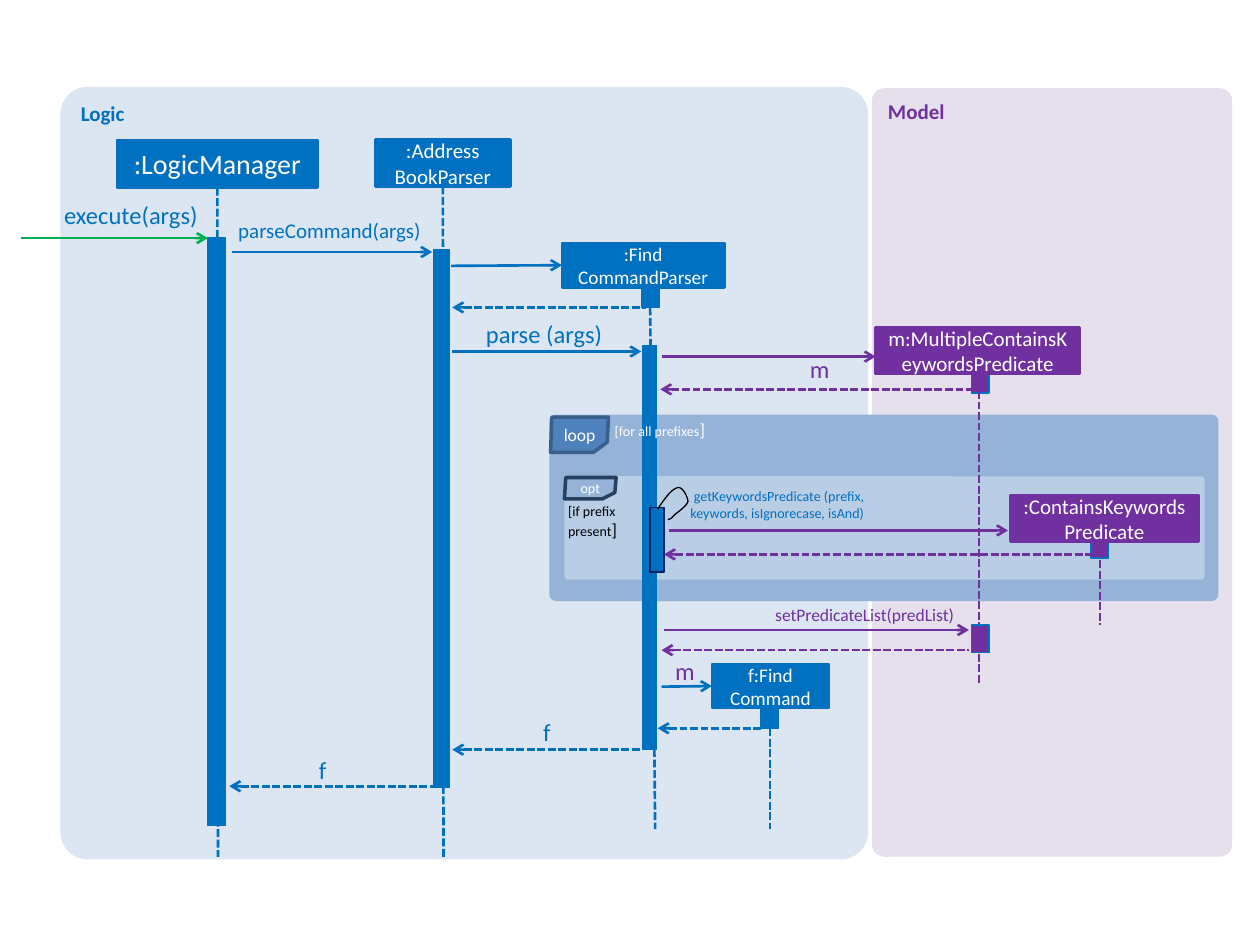
from lxml import etree
from pptx import Presentation
from pptx.dml.color import RGBColor
from pptx.enum import dml, shapes, text
from pptx.oxml.ns import qn
from pptx.util import Inches, Pt

BLUE = RGBColor(0x00, 0x70, 0xC0)
PURPLE = RGBColor(0x70, 0x30, 0xA0)
GREEN = RGBColor(0x00, 0xB0, 0x50)
NAVY = RGBColor(0x00, 0x20, 0x60)
WHITE = RGBColor(0xFF, 0xFF, 0xFF)
BLACK = RGBColor(0x00, 0x00, 0x00)
LOGIC_FILL = RGBColor(0xDC, 0xE6, 0xF2)
MODEL_FILL = RGBColor(0xE6, 0xE0, 0xEC)
LOOP_FILL = RGBColor(0x95, 0xB3, 0xD7)
OPT_FILL = RGBColor(0xB9, 0xCD, 0xE5)
LOOP_TAG = RGBColor(0x4F, 0x81, 0xBD)
LOOP_TAG_EDGE = RGBColor(0x3A, 0x5F, 0x8C)
OPT_TAG_EDGE = RGBColor(0x25, 0x40, 0x61)

LEFT, CENTER, RIGHT = text.PP_ALIGN.LEFT, text.PP_ALIGN.CENTER, text.PP_ALIGN.RIGHT
TOP, MIDDLE = text.MSO_ANCHOR.TOP, text.MSO_ANCHOR.MIDDLE
RECT, ROUNDED = shapes.MSO_SHAPE.RECTANGLE, shapes.MSO_SHAPE.ROUNDED_RECTANGLE
ACTIVATION = (0.14, 0.22)


def place(box, x, y):
    """Return the slide position of a point given relative to a box."""
    return Inches(box[0] + x), Inches(box[1] + y)


def write(tf, words, size=12, color=WHITE, bold=False, align=CENTER,
          anchor=MIDDLE, wrap=True, ending=None):
    """Fill a text frame; an ending is added as a 10 point run."""
    tf.text = words
    tf.word_wrap = wrap
    tf.vertical_anchor = anchor
    if ending:
        tf.paragraphs[-1].add_run().text = ending
    for p in tf.paragraphs:
        p.alignment = align
        for r in p.runs:
            r.font.name = "Calibri"
            r.font.size = Pt(size)
            r.font.bold = bold
            r.font.color.rgb = color
    if ending:
        tf.paragraphs[-1].runs[-1].font.size = Pt(10)


def style(sp, fill=None, edge=None, width=0.75):
    """Set the fill and outline of a shape and drop its shadow."""
    sp.shadow.inherit = False
    if fill is None:
        sp.fill.background()
    else:
        sp.fill.solid()
        sp.fill.fore_color.rgb = fill
    if edge is None:
        sp.line.fill.background()
    else:
        sp.line.color.rgb = edge
        sp.line.width = Pt(width)


def block(s, box, at, fill, edge=None, width=0.75, kind=RECT):
    """Add a filled shape inside a box."""
    x, y, w, h = at
    sp = s.shapes.add_shape(kind, *place(box, x, y), Inches(w), Inches(h))
    style(sp, fill, edge, width)
    if kind == ROUNDED:
        sp.adjustments[0] = 0.035
    return sp


def header(s, box, at, name, color, size=12):
    """Add the name box of a participant."""
    sp = block(s, box, at, color, color, 1.5)
    write(sp.text_frame, name, size)
    return sp


def label(s, box, at, words, inset=0.0, align=RIGHT, **fmt):
    """Add a text box inside a box."""
    x, y, w, h = at
    tf = s.shapes.add_textbox(*place(box, x, y), Inches(w), Inches(h)).text_frame
    tf.margin_left = tf.margin_right = Inches(inset)
    tf.margin_top = tf.margin_bottom = Inches(inset / 2)
    write(tf, words, align=align, anchor=TOP, **fmt)
    tf.auto_size = text.MSO_AUTO_SIZE.SHAPE_TO_FIT_TEXT


def line(s, box, start, end, color, dashed=False, arrow=None):
    """Add a straight line with an optional headEnd or tailEnd arrow."""
    c = s.shapes.add_connector(shapes.MSO_CONNECTOR.STRAIGHT,
                               *place(box, *start), *place(box, *end))
    c.line.color.rgb = color
    c.line.width = Pt(1.5)
    if dashed:
        c.line.dash_style = dml.MSO_LINE.SQUARE_DOT
    if arrow:
        etree.SubElement(c.line._get_or_add_ln(), qn("a:" + arrow), type="arrow")
    etree.SubElement(c._element.spPr, qn("a:effectLst"))
    return c


def call(s, box, x1, x2, y, color, target=None):
    """Add a message arrow, joined to the left side of its target."""
    c = line(s, box, (x1, y), (x2, y), color, arrow="tailEnd")
    if target is not None:
        c.end_connect(target, 1)


def reply(s, box, x1, x2, y, color):
    """Add a dashed return arrow that points left."""
    line(s, box, (x1, y), (x2, y), color, dashed=True, arrow="headEnd")


def lifeline(s, box, start, end, color, source=None):
    """Add a dashed lifeline, joined to the bottom of its source."""
    c = line(s, box, start, end, color, dashed=True)
    if source is not None:
        c.begin_connect(source, 2)


def panel(s, box, title, fill, color):
    """Add the background and title of a component."""
    sp = block(s, box, (0, 0, *box[2:]), fill, kind=ROUNDED)
    write(sp.text_frame, title, color=color, bold=True, align=LEFT, anchor=TOP)


def tag(s, box, at, cut, words, size, fill, edge):
    """Add the cut-corner name tag of a frame."""
    x, y, w, h = at
    points = [(x, y + h), (x + w - cut[0], y + h), (x + w - 0.01, y + h - cut[1]),
              (x + w, y), (x + 0.01, y)]
    start, *rest = [place(box, *pt) for pt in points]
    fb = s.shapes.build_freeform(*start)
    fb.add_line_segments(rest, close=True)
    sp = fb.convert_to_shape()
    style(sp, fill, edge, 2)
    write(sp.text_frame, words, size, wrap=False)


def self_call(s, box, start, curves):
    """Add an open loop made of cubic curves."""
    steps, points = 10, []
    p0 = start
    for p1, p2, p3 in curves:
        for t in (i / steps for i in range(1, steps + 1)):
            weights = ((1 - t) ** 3, 3 * t * (1 - t) ** 2, 3 * t * t * (1 - t), t ** 3)
            points.append(place(box, *(sum(k * p[axis] for k, p in zip(weights, (p0, p1, p2, p3)))
                                       for axis in (0, 1))))
        p0 = p3
    fb = s.shapes.build_freeform(*place(box, *start))
    fb.add_line_segments(points, close=False)
    style(fb.convert_to_shape(), edge=BLACK)


def loop_frame(s, box):
    """Add the loop frame and the optional frame in it."""
    block(s, box, (0, 0, *box[2:]), LOOP_FILL, kind=ROUNDED)
    block(s, box, (0.12, 0.49, 5.08, 0.82), OPT_FILL, kind=ROUNDED)
    tag(s, box, (0.01, 0.02, 0.46, 0.28), (0.12, 0.08), "loop", 10, LOOP_TAG, LOOP_TAG_EDGE)
    tag(s, box, (0.12, 0.5, 0.41, 0.17), (0.11, 0.05), "opt", 8, LOOP_FILL, OPT_TAG_EDGE)


def loop_notes(s, box):
    """Add the conditions and the self call of the loop."""
    label(s, box, (0.42, -0.01, 0.95, 0.27), "[for all prefixes", 0.1, LEFT, size=8, ending="]")
    label(s, box, (0.05, 0.65, 0.61, 0.4), "[if prefix present", 0.1, LEFT,
          size=8, color=BLACK, ending="]")
    label(s, box, (0.81, 0.58, 1.69, 0.27),
          "getKeywordsPredicate (prefix, keywords, isIgnorecase, isAnd)", size=8, color=BLUE)
    self_call(s, box, (0.86, 0.75), [
        ((0.94, 0.63), (0.98, 0.59), (1.02, 0.58)),
        ((1.06, 0.57), (1.1, 0.66), (1.1, 0.69)),
        ((1.09, 0.73), (1.01, 0.78), (0.99, 0.8)),
        ((0.97, 0.83), (0.93, 0.84), (0.95, 0.83))])


def logic_flow(s, box):
    """Add the participants and messages of the logic component."""
    manager = header(s, box, (0.45, 0.42, 1.59, 0.38), ":LogicManager", BLUE, 16)
    book = header(s, box, (2.5, 0.42, 1.07, 0.37), ":Address\nBookParser", BLUE)
    parser_start = block(s, box, (4.61, 1.53, *ACTIVATION), BLUE, BLUE)
    parser = header(s, box, (3.98, 1.24, 1.29, 0.35), ":Find\vCommandParser", BLUE, 11)
    command_start = block(s, box, (5.56, 4.87, *ACTIVATION), BLUE, BLUE)
    command = header(s, box, (5.17, 4.58, 0.93, 0.35), "f:Find\vCommand", BLUE, 11)
    for start, end, source in [((1.25, 0.8), (1.25, 6.11), manager),
                               ((3.04, 0.79), (3.04, 6.11), book),
                               ((4.68, 1.75), (4.72, 5.89), parser_start),
                               ((5.63, 5.09), (5.63, 5.89), command_start)]:
        lifeline(s, box, start, end, BLUE, source)
    for at, edge in [((1.17, 1.2, 0.14, 4.66), BLUE), ((2.96, 1.29, 0.13, 4.27), BLUE),
                     ((4.62, 2.05, 0.11, 3.21), BLUE), ((4.68, 3.34, 0.11, 0.51), NAVY)]:
        block(s, box, at, BLUE, edge)
    call(s, box, -0.31, 1.17, 1.2, GREEN)
    for x1, x2, y, target in [(1.36, 2.95, 1.31, None), (3.1, 3.98, 1.42, parser),
                              (3.11, 4.61, 2.1, None), (4.77, 5.17, 4.76, command)]:
        call(s, box, x1, x2, y, BLUE, target)
    for x1, x2, y in [(3.11, 4.65, 1.75), (4.74, 5.56, 5.09), (3.11, 4.61, 5.26), (1.34, 2.97, 5.55)]:
        reply(s, box, x1, x2, y, BLUE)
    for at, words, size in [((-0.47, 0.9, 1.56, 0.24), "execute(args)", 14),
                            ((1.33, 1.04, 1.53, 0.2), "parseCommand(args)", 12),
                            ((3.3, 1.84, 1, 0.24), "parse (args)", 14),
                            ((3.12, 5, 0.77, 0.24), "f", 14), ((1.34, 5.3, 0.77, 0.24), "f", 14)]:
        label(s, box, at, words, size=size, color=BLUE)
    label(s, box, (4.78, 4.47, 0.36, 0.34), "m", 0.1, LEFT, size=14, color=PURPLE, wrap=False)


def model_flow(s, box):
    """Add the participants and messages of the model component."""
    for x, y in [(0.79, 2.2), (1.74, 3.51)]:
        block(s, box, (x, y, *ACTIVATION), PURPLE, BLUE)
    lifeline(s, box, (0.85, 2.32), (0.85, 4.73), PURPLE)
    lifeline(s, box, (1.81, 3.58), (1.81, 4.26), PURPLE)
    header(s, box, (0.03, 1.9, 1.62, 0.37), "m:MultipleContainsKeywordsPredicate", PURPLE)
    header(s, box, (1.1, 3.23, 1.49, 0.37), ":ContainsKeywordsPredicate", PURPLE)
    for x1, x2, y in [(-1.67, 0.03, 2.13), (-1.61, 1.08, 3.51), (-1.65, 0.77, 4.3)]:
        call(s, box, x1, x2, y, PURPLE)
    for x1, x2, y in [(-1.68, 0.83, 2.39), (-1.65, 1.75, 3.7), (-1.67, 0.77, 4.46)]:
        reply(s, box, x1, x2, y, PURPLE)
    block(s, box, (0.79, 4.26, *ACTIVATION), PURPLE, BLUE)
    label(s, box, (-0.59, 2.06, 0.36, 0.34), "m", 0.1, LEFT, size=14, color=PURPLE, wrap=False)
    label(s, box, (-1.1, 4.09, 1.75, 0.17), "setPredicateList(predList)", size=10, color=PURPLE)


def main():
    """Build the sequence diagram slide."""
    prs = Presentation()
    prs.slide_width, prs.slide_height = Inches(10), Inches(7.5)
    s = prs.slides.add_slide(prs.slide_layouts[6])
    logic, model, loop = (0.48, 0.69, 6.41, 6.13), (6.92, 0.7, 2.86, 6.1), (4.36, 3.29, 5.31, 1.48)
    panel(s, model, "Model", MODEL_FILL, PURPLE)
    panel(s, logic, "Logic", LOGIC_FILL, BLUE)
    loop_frame(s, loop)
    logic_flow(s, logic)
    model_flow(s, model)
    loop_notes(s, loop)
    prs.save("out.pptx")


if __name__ == "__main__":
    main()
